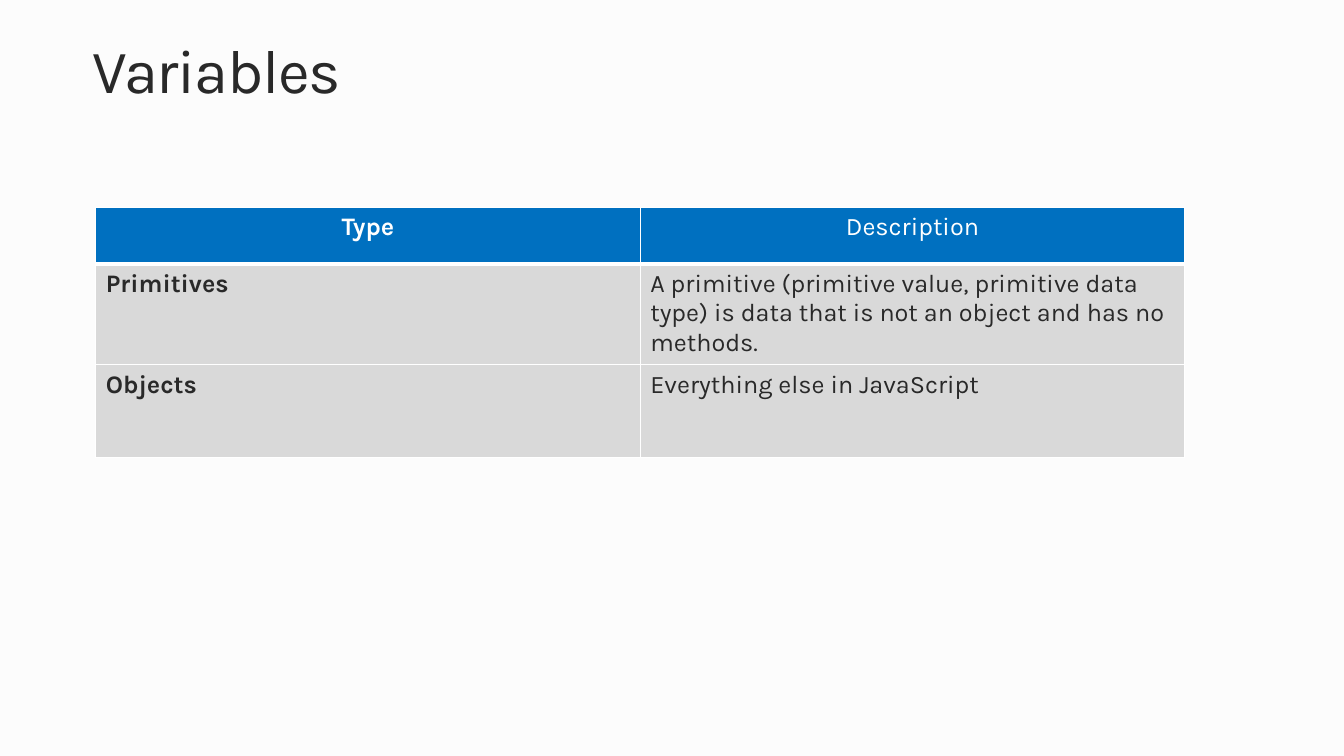
from dataclasses import dataclass

from lxml import etree
from pptx import Presentation
from pptx.dml.color import RGBColor
from pptx.enum.text import PP_ALIGN
from pptx.oxml.ns import qn
from pptx.util import Inches, Pt

LEFT, CENTER = PP_ALIGN.LEFT, PP_ALIGN.CENTER


@dataclass(frozen=True)
class Theme:
    font: str = "Karla"
    background: str = "FCFCFC"
    ink: str = "292929"
    white: str = "FFFFFF"
    header_fill: str = "0070C0"
    body_fill: str = "D9D9D9"
    title_size: int = 44
    table_size: int = 18


theme = Theme()


def write(paragraph, text, size, color, bold=False):
    run = paragraph.add_run()
    run.text = text
    font_format = {"name": theme.font, "size": Pt(size), "bold": bold}
    for attribute, value in font_format.items():
        setattr(run.font, attribute, value)
    run.font.color.rgb = RGBColor.from_string(color)
    return run


def add_borders(cell, widths):
    properties = cell._tc.get_or_add_tcPr()
    for position, (side, width) in enumerate(widths.items()):
        line = etree.Element(qn(f"a:{side}"), w=str(Pt(width)))
        fill = etree.SubElement(line, qn("a:solidFill"))
        etree.SubElement(fill, qn("a:srgbClr"), val=theme.white)
        properties.insert(position, line)


prs = Presentation()
prs.slide_width, prs.slide_height = Inches(13.33), Inches(7.5)
slide = prs.slides.add_slide(prs.slide_layouts[6])
slide.background.fill.solid()
slide.background.fill.fore_color.rgb = RGBColor.from_string(theme.background)

# Title
title = slide.shapes.add_textbox(Inches(0.92), Inches(0.4), Inches(12.2), Inches(0.68))
title_frame = title.text_frame
frame_format = {"word_wrap": True, "margin_left": 0, "margin_top": 0,
                "margin_right": 0, "margin_bottom": 0}
for attribute, value in frame_format.items():
    setattr(title_frame, attribute, value)
heading = title_frame.paragraphs[0]
heading.line_spacing = 0.9
heading_run = write(heading, "Variables", theme.title_size, theme.ink)
heading_run.font._element.set("spc", "-100")

# Table of variable types
variable_types = [
    ("Type", "Description"),
    ("Primitives", "A primitive (primitive value, primitive data type) is data "
                   "that is not an object and has no methods."),
    ("Objects", "Everything else in JavaScript"),
]
row_heights = [0.56, 0.92, 0.92]
types_table = slide.shapes.add_table(
    len(variable_types), 2, Inches(0.95), Inches(2.06),
    Inches(10.8), Inches(sum(row_heights))).table

for row, (entry, height) in enumerate(zip(variable_types, row_heights)):
    types_table.rows[row].height = Inches(height)
    is_header = row == 0
    fill_color = theme.header_fill if is_header else theme.body_fill
    text_color = theme.white if is_header else theme.ink
    # The heavy rule under the header is also the top edge of the first body row
    borders = {"lnL": 1, "lnR": 1, "lnT": 3 if row == 1 else 1,
               "lnB": 3 if is_header else 1}
    for column, text in enumerate(entry):
        cell = types_table.cell(row, column)
        cell.fill.solid()
        cell.fill.fore_color.rgb = RGBColor.from_string(fill_color)
        add_borders(cell, borders)
        paragraph = cell.text_frame.paragraphs[0]
        paragraph.alignment = CENTER if is_header else LEFT
        write(paragraph, text, theme.table_size, text_color, bold=column == 0)

prs.save("out.pptx")
